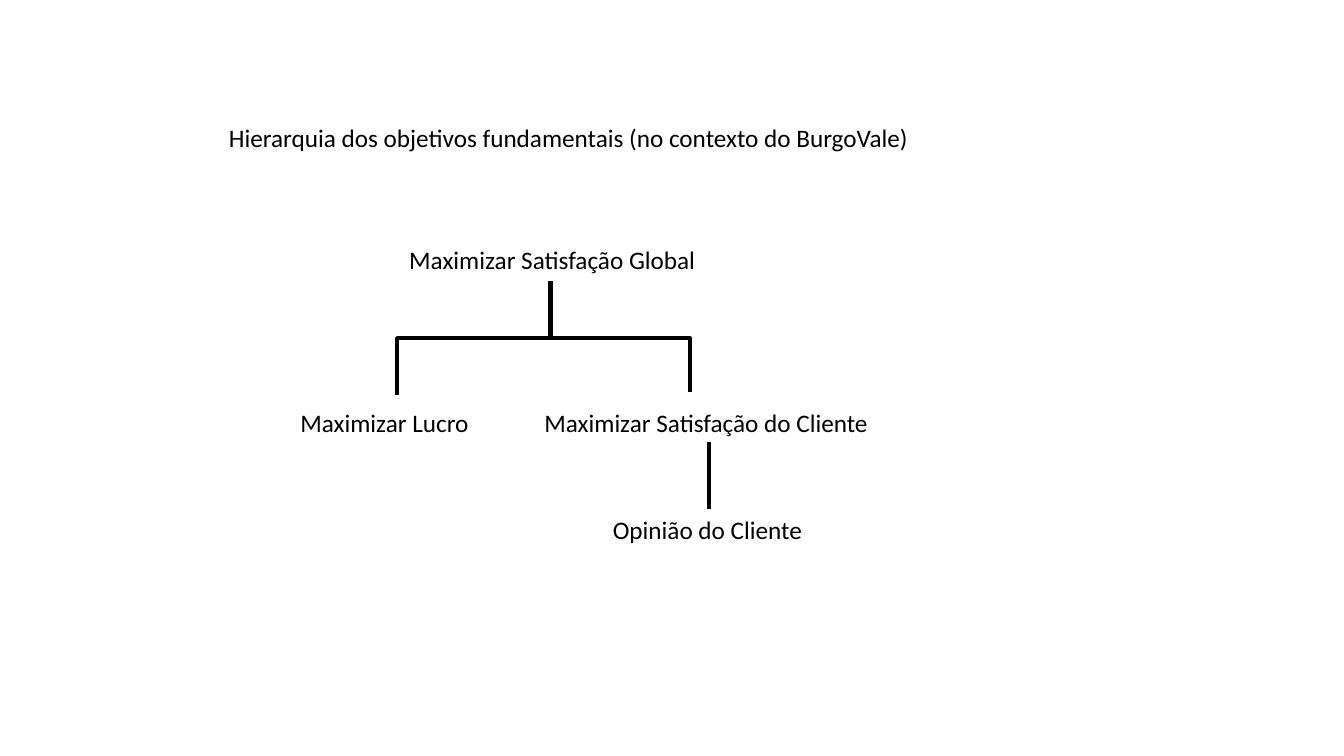
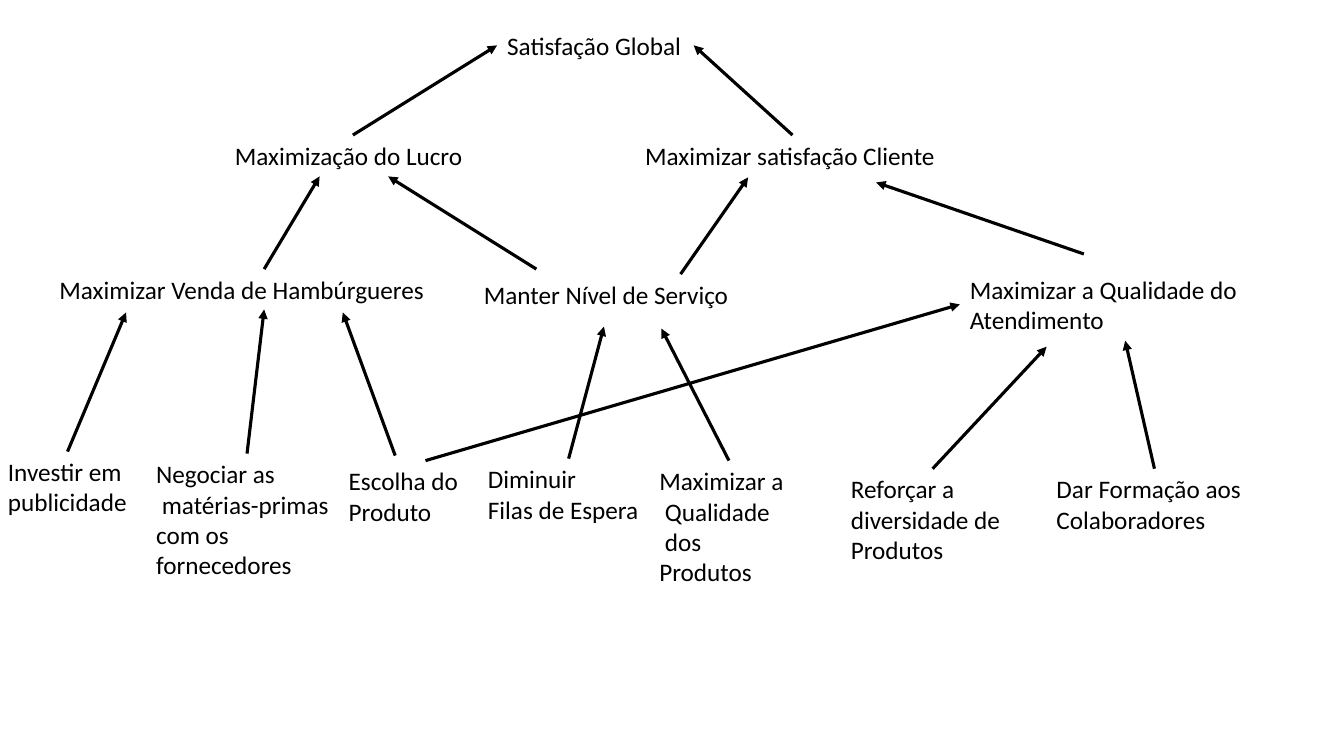
"""Build two slides on a hierarchy of objectives and the network of means behind it."""
from lxml import etree
from pptx import Presentation
from pptx.dml.color import RGBColor
from pptx.enum.shapes import MSO_CONNECTOR
from pptx.enum.text import MSO_ANCHOR, MSO_AUTO_SIZE, PP_ALIGN
from pptx.oxml.ns import qn
from pptx.util import Inches, Pt

COLORS = {"ink": "000000", "page": "FFFFFF"}
FONT = "Calibri"
TEXT_SIZE = 18
LINE_HEIGHT = 0.4
TREE_WIDTH = 3
ARROW_WIDTH = 2.25


def color(name):
    return RGBColor.from_string(COLORS[name])


def write(shape, text, one_line):
    frame = shape.text_frame
    frame.text = text
    frame.word_wrap = True
    frame.auto_size = MSO_AUTO_SIZE.NONE
    frame.vertical_anchor = MSO_ANCHOR.TOP
    if one_line:
        frame.margin_right = 0
    for paragraph in frame.paragraphs:
        paragraph.alignment = PP_ALIGN.LEFT
        font = paragraph.font
        font.name, font.size = FONT, Pt(TEXT_SIZE)
        font.color.rgb = color("ink")


def new_slide(prs, title, left, top, width):
    slide = prs.slides.add_slide(prs.slide_layouts[5])
    slide.background.fill.solid()
    slide.background.fill.fore_color.rgb = color("page")
    shape = slide.shapes.title
    shape.left, shape.top = Inches(left), Inches(top)
    shape.width, shape.height = Inches(width), Inches(LINE_HEIGHT)
    write(shape, title, True)
    return slide


def add_label(slide, box, text, x, y, width, height=LINE_HEIGHT):
    shape = slide.shapes.add_textbox(
        Inches(box[0] + x), Inches(box[1] + y), Inches(width), Inches(height))
    write(shape, text, height == LINE_HEIGHT)


def add_line(slide, box, start, end, width, kind=MSO_CONNECTOR.STRAIGHT):
    points = [Inches(origin + offset) for point in (start, end)
              for origin, offset in zip(box, point)]
    line = slide.shapes.add_connector(kind, *points)
    line.line.color.rgb = color("ink")
    line.line.width = Pt(width)
    etree.SubElement(line._element.spPr, qn("a:effectLst"))
    return line


def add_arrow(slide, box, start, end):
    line = add_line(slide, box, start, end, ARROW_WIDTH)
    etree.SubElement(line.line._get_or_add_ln(), qn("a:tailEnd"), type="triangle")


def add_branch(slide, box, start, end):
    (x1, y1), (x2, y2) = start, end
    middle_x, middle_y = (x1 + x2) / 2, (y1 + y2) / 2
    half_width, half_height = (y2 - y1) / 2, abs(x2 - x1) / 2
    side = 1 if x2 > x1 else -1
    line = add_line(
        slide, box,
        (middle_x + side * half_width, middle_y - half_height),
        (middle_x - side * half_width, middle_y + half_height),
        TREE_WIDTH, MSO_CONNECTOR.ELBOW)
    degrees = 270 if side > 0 else 90
    line._element.spPr.find(qn("a:xfrm")).set("rot", str(degrees * 60000))


def objective_tree(slide, box):
    for label in [
        ("Maximizar Satisfação Global", 1.08, 0, 3.91),
        ("Maximizar Lucro", 0, 1.62, 1.95),
        ("Maximizar Satisfação do Cliente", 2.42, 1.62, 3.45),
        ("Opinião do Cliente", 3.1, 2.68, 2.1),
    ]:
        add_label(slide, box, *label)
    add_branch(slide, box, (2.58, 0.45), (3.96, 1.52))
    add_branch(slide, box, (2.58, 0.42), (1.06, 1.55))
    add_line(slide, box, (4.15, 2.02), (4.15, 2.68), TREE_WIDTH)


def means_network(slide, box):
    for label in [
        ("Maximização do Lucro", 2.23, 1.09, 2.55),
        ("Maximizar satisfação Cliente", 6.3, 1.09, 3.1),
        ("Maximizar Venda de Hambúrgueres", 0.49, 2.42, 4.26),
        ("Manter Nível de Serviço", 4.7, 2.47, 3.06),
        ("Maximizar a Qualidade do Atendimento", 9.52, 2.42, 3.27, 0.71),
        ("Investir em publicidade", -0.02, 4.23, 1.38, 0.71),
        ("Negociar as\n matérias-primas\ncom os fornecedores", 1.45, 4.25, 2.01, 1.31),
        ("Escolha do Produto", 3.36, 4.32, 1.71, 0.71),
        ("Diminuir\nFilas de Espera", 4.74, 4.3, 1.81, 0.71),
        ("Maximizar a\n Qualidade\n dos Produtos", 6.44, 4.32, 1.58, 1.31),
        ("Reforçar a diversidade de Produtos", 8.34, 4.4, 1.81, 1.01),
        ("Dar Formação aos Colaboradores", 10.38, 4.4, 2.15, 0.71),
    ]:
        add_label(slide, box, *label)
    for start, end in [
        ((3.5, 1.09), (4.93, 0.2)),
        ((7.86, 1.09), (6.88, 0.2)),
        ((2.62, 2.42), (3.17, 1.5)),
        ((5.32, 2.42), (3.85, 1.5)),
        ((6.75, 2.47), (7.42, 1.51)),
        ((10.75, 2.27), (8.69, 1.56)),
        ((0.67, 4.23), (1.25, 2.85)),
        ((2.45, 4.25), (2.62, 2.82)),
        ((3.92, 4.27), (3.4, 2.85)),
        ((4.22, 4.32), (9.52, 2.77)),
        ((5.64, 4.3), (5.99, 2.99)),
        ((7.23, 4.32), (6.56, 3.01)),
        ((9.25, 4.4), (10.38, 3.19)),
        ((11.45, 4.4), (11.16, 3.13)),
    ]:
        add_arrow(slide, box, start, end)


prs = Presentation()
prs.slide_width, prs.slide_height = Inches(13.33), Inches(7.5)
hierarchy = new_slide(
    prs, "Hierarquia dos objetivos fundamentais (no contexto do BurgoVale)",
    2.17, 1.16, 7.14)
objective_tree(hierarchy, (2.88, 2.37))
network = new_slide(prs, "Satisfação Global", 4.93, 0.25, 1.95)
means_network(network, (0, 0.25))
prs.save("out.pptx")
